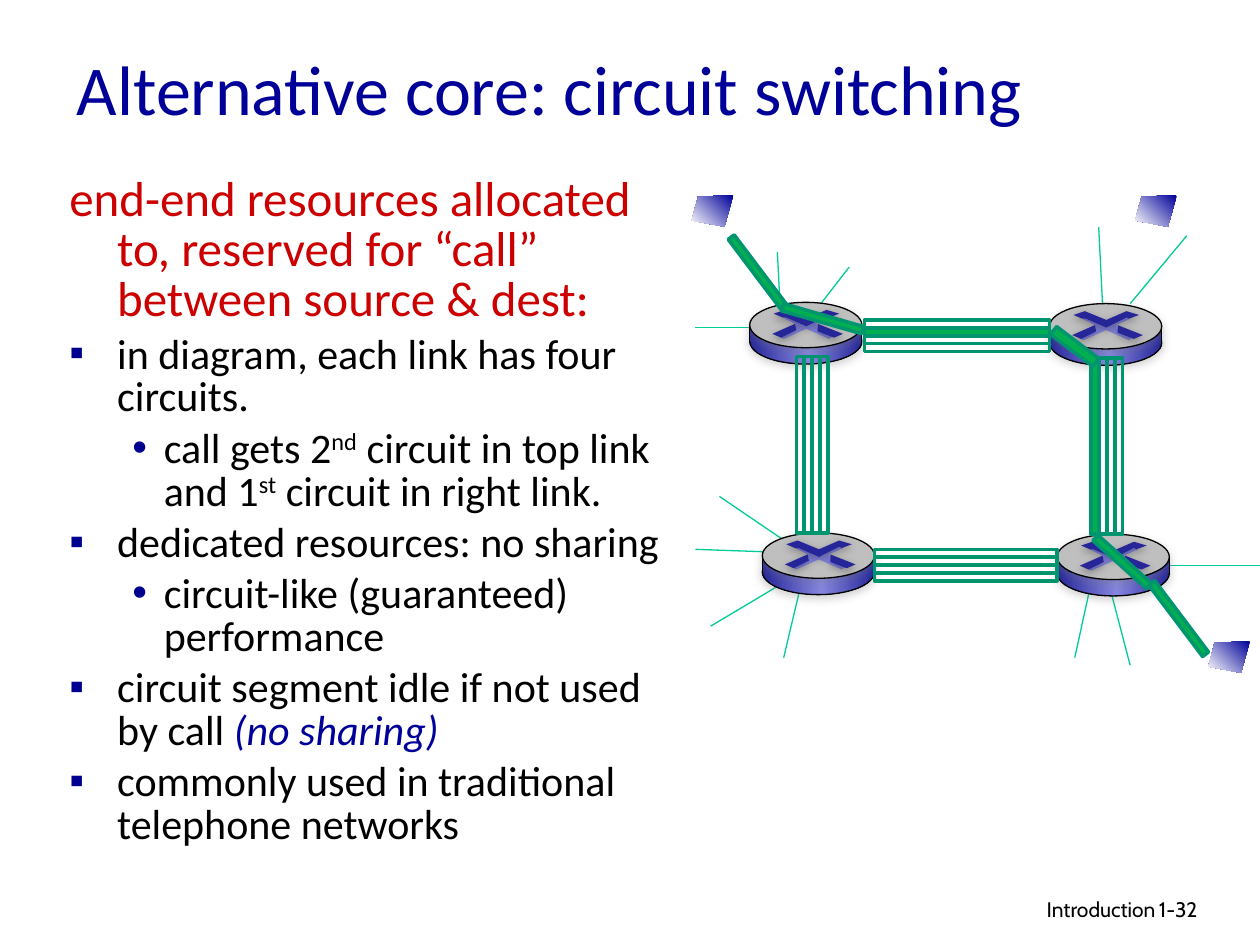
from lxml.etree import SubElement
from pptx import Presentation
from pptx.dml.color import RGBColor
from pptx.enum.shapes import MSO_CONNECTOR, MSO_SHAPE
from pptx.enum.text import MSO_ANCHOR, MSO_AUTO_SIZE, PP_ALIGN
from pptx.oxml.ns import qn
from pptx.util import Inches, Pt

# Content: (style, runs); a run is (text, look)
TITLE = "Alternative core: circuit switching"
BODY = [
    ("lead", [("end-end resources allocated to, reserved for “call” between source & dest:", "")]),
    ("item", [("in diagram, each link has four circuits.", "")]),
    ("sub", [("call gets 2", ""), ("nd", "super"), (" circuit in top link and 1", ""),
             ("st", "super"), (" circuit in right link.", "")]),
    ("item", [("dedicated resources: no sharing", "")]),
    ("sub", [("circuit-like (guaranteed) performance", "")]),
    ("item", [("circuit segment idle if not used by call ", ""), ("(no sharing)", "accent")]),
    ("item", [("commonly used in traditional telephone networks", "")]),
]
# style: level, left margin, first-line indent, bullet, size, colour
STYLES = {
    "lead": (0, 0.38, -0.38, None, 28, "CC0000"),
    "item": (0, 0.38, -0.38, "▪", 24, "000000"),
    "sub": (1, 0.75, -0.25, "•", 24, "000000"),
}
FOOTERS = [("Introduction", 6.1, 3.17, PP_ALIGN.RIGHT), ("1-32", 9.1, 0.74, PP_ALIGN.LEFT)]

# Network: positions in inches
ROUTERS = [(5.95, 2.4), (8.33, 2.41), (8.39, 4.24), (6.05, 4.23)]
HOSTS = [(5.49, 1.55), (9.59, 5.09), (9.01, 1.55)]
ACCESS_LINES = [
    (6.17, 2, 6.2, 2.61), (6.74, 2.12, 6.36, 2.61), (5.52, 2.6, 6.03, 2.6),
    (8.97, 5.28, 8.81, 4.67), (8.53, 5.22, 8.65, 4.67), (5.52, 4.36, 6.09, 4.38),
    (5.71, 3.94, 6.21, 4.28), (5.64, 4.97, 6.21, 4.63), (6.22, 5.22, 6.35, 4.67),
    (10, 4.49, 9.23, 4.49), (8.72, 1.8, 8.75, 2.41), (9.42, 1.87, 8.97, 2.41),
]
# left, top, length, vertical, index of the circuit in use
LINKS = [(6.86, 2.54, 1.47, False, 1), (6.32, 2.83, 1.4, True, None),
         (6.94, 4.36, 1.45, False, None), (8.66, 2.84, 1.4, True, 0)]
# left, top, width, height, rotation
CALL_BARS = [(5.66, 2.14, 0.72, 0.06, 53), (9, 4.88, 0.71, 0.06, 53), (6.2, 2.5, 0.66, 0.06, 16),
             (8.62, 4.43, 0.57, 0.06, 42), (8.32, 2.71, 0.42, 0.08, 37)]

# Outlines in hundredths of an inch from the owner's top left corner
HOST_OUTLINE = [(33, 0), (5, 1), (0, 20), (26, 25)]
CROSS = [(45, 21), (27, 29), (23, 27), (37, 22), (36, 17), (26, 12), (29, 11),
         (45, 18), (60, 11), (64, 12), (53, 17), (55, 23), (66, 27), (63, 29)]
ARROWS = [
    [(19, 9), (28, 6), (45, 13), (61, 6), (71, 9), (63, 12), (61, 11), (45, 19), (29, 12), (26, 12)],
    [(54, 17), (74, 25), (67, 28), (54, 23)],
    [(36, 17), (37, 22), (25, 28), (18, 25)],
]
ROUTER_WIDTH, DISC_HEIGHT, CIRCUIT_PITCH = 0.89, 0.36, 0.25 / 4
SIDE = [(0, "262699"), (53, "8585E0"), (100, "262699")]
HOST_FADE = [(0, "000099"), (100, "FFFFFF")]

def color(value):
    return RGBColor.from_string(value)

def set_shadow(shape, shade=None, alpha=35):
    """Give the shape a soft shadow below, or none."""
    effects = SubElement(shape._element.spPr, qn("a:effectLst"))
    if shade:
        shadow = SubElement(effects, qn("a:outerShdw"), blurRad=str(Pt(5)), dist=str(Pt(1.8)),
                            dir="5400000", rotWithShape="0")
        tint = SubElement(shadow, qn("a:srgbClr"), val=shade)
        SubElement(tint, qn("a:alpha"), val=str(alpha * 1000))

def paint(shape, fill=None, line=None, weight=0.75, angle=0, shadow=None):
    """Set fill (hex, gradient stops or None), outline and shadow."""
    if isinstance(fill, list):
        shape.fill.gradient()
        gradient = shape._element.spPr.find(qn("a:gradFill"))
        stops = gradient.find(qn("a:gsLst"))
        for old in list(stops):
            stops.remove(old)
        for position, value in fill:
            stop = SubElement(stops, qn("a:gs"), pos=str(position * 1000))
            SubElement(stop, qn("a:srgbClr"), val=value)
        gradient.find(qn("a:lin")).set("ang", str(angle * 60000))
    elif fill:
        shape.fill.solid()
        shape.fill.fore_color.rgb = color(fill)
    else:
        shape.fill.background()
    if line:
        shape.line.color.rgb = color(line)
        shape.line.width = Pt(weight)
    else:
        shape.line.fill.background()
    set_shadow(shape, shadow)

def add_preset(shapes, kind, left, top, width, height, **look):
    shape = shapes.add_shape(kind, *map(Inches, (left, top, width, height)))
    paint(shape, **look)
    return shape

def add_outline(shapes, left, top, points, **look):
    placed = [(round(left * 100) + x, round(top * 100) + y) for x, y in points]
    builder = shapes.build_freeform(*placed[0], scale=Inches(0.01))
    builder.add_line_segments(placed[1:], close=True)
    paint(builder.convert_to_shape(), **look)

def add_line(shapes, ends, value, shadow=None):
    line = shapes.add_connector(MSO_CONNECTOR.STRAIGHT, *map(Inches, ends))
    line.line.color.rgb = color(value)
    line.line.width = Pt(0.75)
    set_shadow(line, shadow, 38)

def add_router(slide, left, top):
    shapes = slide.shapes.add_group_shape().shapes
    disc = {"width": ROUTER_WIDTH, "height": DISC_HEIGHT, "line": "000000", "shadow": "808080"}
    add_preset(shapes, MSO_SHAPE.OVAL, left, top + 0.13, fill=SIDE, **disc)
    add_preset(shapes, MSO_SHAPE.RECTANGLE, left, top + 0.18, ROUTER_WIDTH, 0.13, fill=SIDE)
    add_preset(shapes, MSO_SHAPE.OVAL, left, top, fill="BFBFBF", **disc)
    add_outline(shapes, left, top, CROSS, fill="8585E0")
    for arrow in ARROWS:
        add_outline(shapes, left, top, arrow, fill="262699", shadow="000000")
    for x in (left, left + ROUTER_WIDTH):
        add_line(shapes, (x, top + 0.32, x, top + 0.18), "000000", "808080")

def set_font(font, name, size, value):
    font.name, font.size, font.color.rgb = name, Pt(size), color(value)

def place(shape, *box):
    shape.left, shape.top, shape.width, shape.height = map(Inches, box)
    shape.text_frame.word_wrap = True
    shape.text_frame.auto_size = MSO_AUTO_SIZE.NONE

def fill_body(frame):
    for index, (style, runs) in enumerate(BODY):
        level, margin, indent, bullet, size, value = STYLES[style]
        paragraph = frame.add_paragraph() if index else frame.paragraphs[0]
        paragraph.level, paragraph.line_spacing = level, 0.85
        paragraph.space_before = Pt(4.8 if index else 0)
        properties = paragraph._p.get_or_add_pPr()
        properties.set("marL", str(Inches(margin)))
        properties.set("indent", str(Inches(indent)))
        if bullet:
            SubElement(SubElement(properties, qn("a:buClr")), qn("a:srgbClr"), val="000090")
            SubElement(properties, qn("a:buChar"), char=bullet)
        else:
            SubElement(properties, qn("a:buNone"))
        set_font(paragraph.font, "Calibri", size, value)
        for text, look in runs:
            run = paragraph.add_run()
            run.text = text
            if look == "super":
                run._r.get_or_add_rPr().set("baseline", "30000")
            elif look == "accent":
                run.font.italic = True
                run.font.color.rgb = color("000099")

def main():
    presentation = Presentation()
    presentation.slide_width, presentation.slide_height = Inches(10), Inches(7.5)
    slide = presentation.slides.add_slide(presentation.slide_layouts[1])

    # Title and list
    title, body = slide.shapes.title, slide.placeholders[1]
    place(title, 0.51, 0.3, 8.5, 0.79)
    title.text_frame.text = TITLE
    title.text_frame.vertical_anchor = MSO_ANCHOR.MIDDLE
    heading = title.text_frame.paragraphs[0]
    heading.alignment = PP_ALIGN.LEFT
    set_font(heading.font, "Calibri", 40, "000099")
    place(body, 0.45, 1.35, 4.88, 5.08)
    fill_body(body.text_frame)

    # Footer
    for text, left, width, alignment in FOOTERS:
        box = slide.shapes.add_textbox(0, 0, 0, 0)
        place(box, left, 7.07, width, 0.3)
        paragraph = box.text_frame.paragraphs[0]
        paragraph.text, paragraph.alignment = text, alignment
        set_font(paragraph.font, "Cabin", 12, "000000")

    # Access lines, hosts and routers
    for ends in ACCESS_LINES:
        add_line(slide.shapes, ends, "00CC98")
    for left, top in HOSTS:
        add_outline(slide.shapes, left, top, HOST_OUTLINE, fill=HOST_FADE, angle=135)
    for left, top in ROUTERS:
        add_router(slide, left, top)

    # Links of four circuits, then the slanted parts of the call
    circuit = {"line": "00956F", "weight": 2}
    for left, top, length, vertical, used in LINKS:
        for index in range(4):
            offset = index * CIRCUIT_PITCH
            box = ((left + offset, top, CIRCUIT_PITCH, length) if vertical
                   else (left, top + offset, length, CIRCUIT_PITCH))
            add_preset(slide.shapes, MSO_SHAPE.RECTANGLE, *box,
                       fill="00B050" if index == used else None, **circuit)
    for *box, rotation in CALL_BARS:
        bar = add_preset(slide.shapes, MSO_SHAPE.RECTANGLE, *box, fill="00B050", **circuit)
        bar.rotation = rotation
    presentation.save("out.pptx")

if __name__ == "__main__":
    main()
